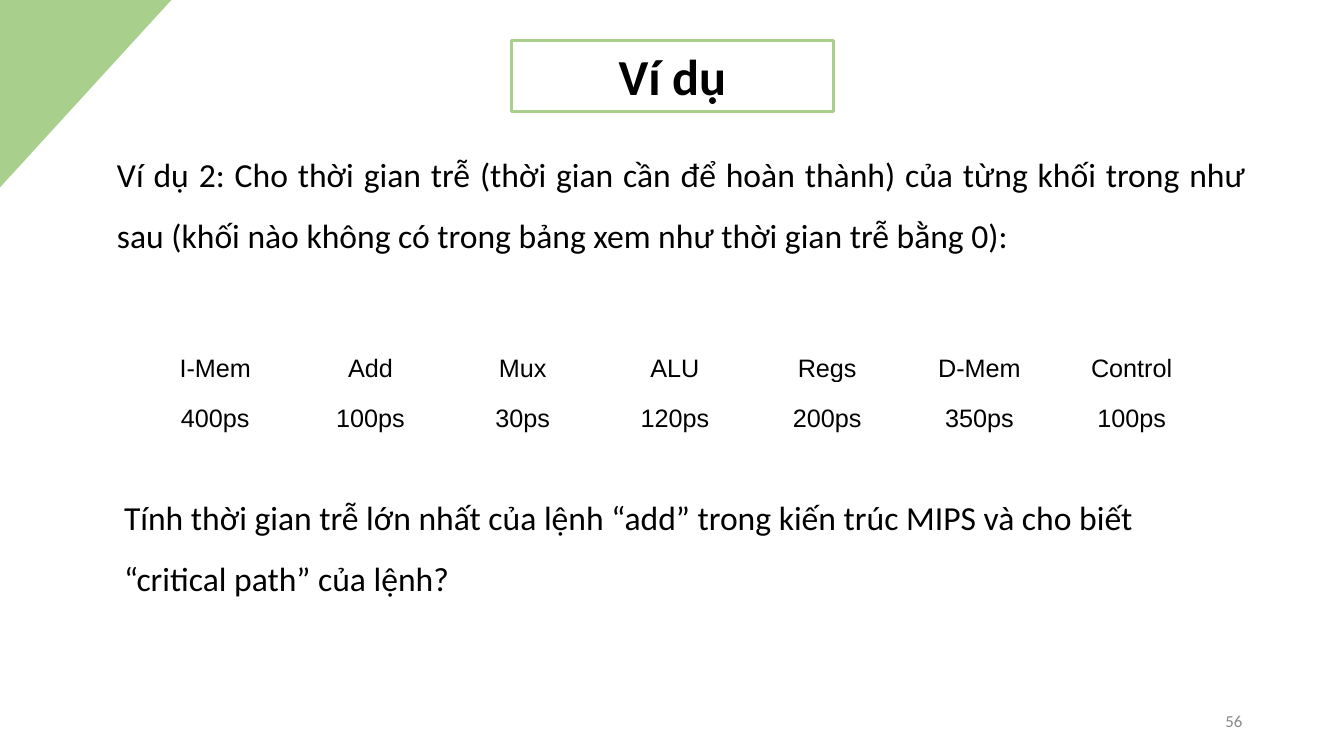
from pptx import Presentation
from pptx.dml.color import RGBColor
from pptx.enum import text
from pptx.oxml import ns
from pptx.util import Inches, Pt

GREEN = RGBColor(0xA8, 0xD0, 0x8C)
BLACK = RGBColor(0, 0, 0)
GRAY = RGBColor(0x88, 0x88, 0x88)
ALIGN, ANCHOR = text.PP_ALIGN, text.MSO_ANCHOR

TITLE = "Ví dụ"
PROBLEM = ("Ví dụ 2: Cho thời gian trễ (thời gian cần để hoàn thành) của từng khối trong như sau "
           "(khối nào không có trong bảng xem như thời gian trễ bằng 0):")
QUESTION = ("Tính thời gian trễ lớn nhất của lệnh “add” trong kiến trúc MIPS và cho biết "
            "“critical path” của lệnh?")
PAGE = "56"
DELAYS = [("I-Mem", "400ps"), ("Add", "100ps"), ("Mux", "30ps"), ("ALU", "120ps"),
          ("Regs", "200ps"), ("D-Mem", "350ps"), ("Control", "100ps")]

TITLE_BOX = (5.07, 0.4, 3.2, 0.71)
PROBLEM_BOX = (1.06, 1.28, 11.4, 1.92)
QUESTION_BOX = (1.13, 4.68, 11.29, 1.31)
PAGE_BOX = (9.42, 6.95, 3, 0.4)
TABLE_LEFT, TABLE_TOP = 1.35, 3.38
COLUMN_WIDTHS = [1.57] + [1.51] * (len(DELAYS) - 1)
ROW_HEIGHTS = [0.33, 0.57]
CORNER = [(0, 0), (0, 1.86), (1.7, 0)]

BODY_FORMAT = {"size": Pt(24), "name": "Calibri"}
TITLE_FORMAT = {"size": Pt(36), "name": "Calibri", "bold": True}
CELL_FORMAT = {"size": Pt(18), "name": "Arial"}
PAGE_FORMAT = {"size": Pt(12), "name": "Calibri"}


def write(frame, words, font_format, align, spacing=1.0, color=BLACK):
    frame.text = words
    paragraph = frame.paragraphs[0]
    paragraph.alignment = align
    paragraph.line_spacing = spacing
    paragraph.space_before = Pt(0)
    for key, value in font_format.items():
        setattr(paragraph.font, key, value)
    paragraph.font.color.rgb = color
    return paragraph


def place(shape, box, anchor=ANCHOR.TOP):
    shape.left, shape.top, shape.width, shape.height = map(Inches, box)
    frame = shape.text_frame
    frame.word_wrap = True
    frame.auto_size = text.MSO_AUTO_SIZE.NONE
    frame.vertical_anchor = anchor
    return frame


def remove_bullet(paragraph):
    properties = paragraph._p.get_or_add_pPr()
    properties.set("marL", "0")
    properties.set("indent", "0")
    # The bullet element goes after the spacing elements
    properties.append(properties.makeelement(ns.qn("a:buNone"), {}))


presentation = Presentation()
presentation.slide_width, presentation.slide_height = Inches(13.33), Inches(7.5)
slide = presentation.slides.add_slide(presentation.slide_layouts[3])
title, problem, question = list(slide.placeholders)[:3]

corner_points = [(Inches(x), Inches(y)) for x, y in CORNER]
builder = slide.shapes.build_freeform(*corner_points[0])
builder.add_line_segments(corner_points[1:], close=True)
corner = builder.convert_to_shape()
corner.shadow.inherit = False
corner.fill.solid()
corner.fill.fore_color.rgb = GREEN
corner.line.fill.background()

write(place(title, TITLE_BOX), TITLE, TITLE_FORMAT, ALIGN.CENTER)
title.line.color.rgb = GREEN
title.line.width = Pt(2.25)

for shape, box, words, align in [(problem, PROBLEM_BOX, PROBLEM, ALIGN.JUSTIFY),
                                 (question, QUESTION_BOX, QUESTION, ALIGN.LEFT)]:
    remove_bullet(write(place(shape, box), words, BODY_FORMAT, align, 1.5))

page = slide.shapes.add_textbox(*map(Inches, PAGE_BOX))
write(place(page, PAGE_BOX, ANCHOR.MIDDLE), PAGE, PAGE_FORMAT, ALIGN.RIGHT, color=GRAY)

table = slide.shapes.add_table(
    len(ROW_HEIGHTS), len(DELAYS), Inches(TABLE_LEFT), Inches(TABLE_TOP),
    Inches(sum(COLUMN_WIDTHS)), Inches(sum(ROW_HEIGHTS))).table
table.first_row = table.horz_banding = False
for row, height in zip(table.rows, ROW_HEIGHTS):
    row.height = Inches(height)
for column, width in zip(table.columns, COLUMN_WIDTHS):
    column.width = Inches(width)
for column_index, delay in enumerate(DELAYS):
    for row_index, words in enumerate(delay):
        cell = table.cell(row_index, column_index)
        cell.fill.background()
        cell.vertical_anchor = ANCHOR.MIDDLE
        cell.margin_left = cell.margin_right = Inches(0.07)
        cell.margin_top = cell.margin_bottom = 0
        write(cell.text_frame, words, CELL_FORMAT, ALIGN.CENTER, 1.5)

presentation.save("out.pptx")
